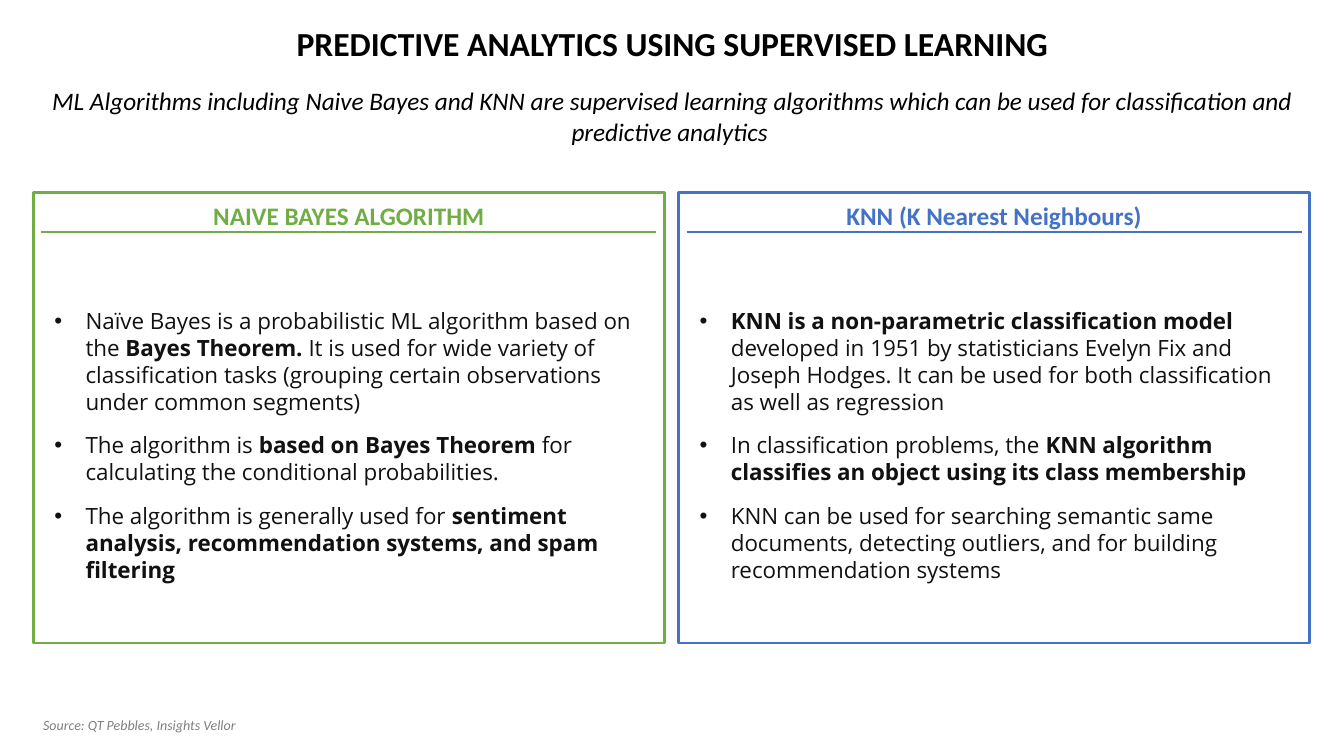
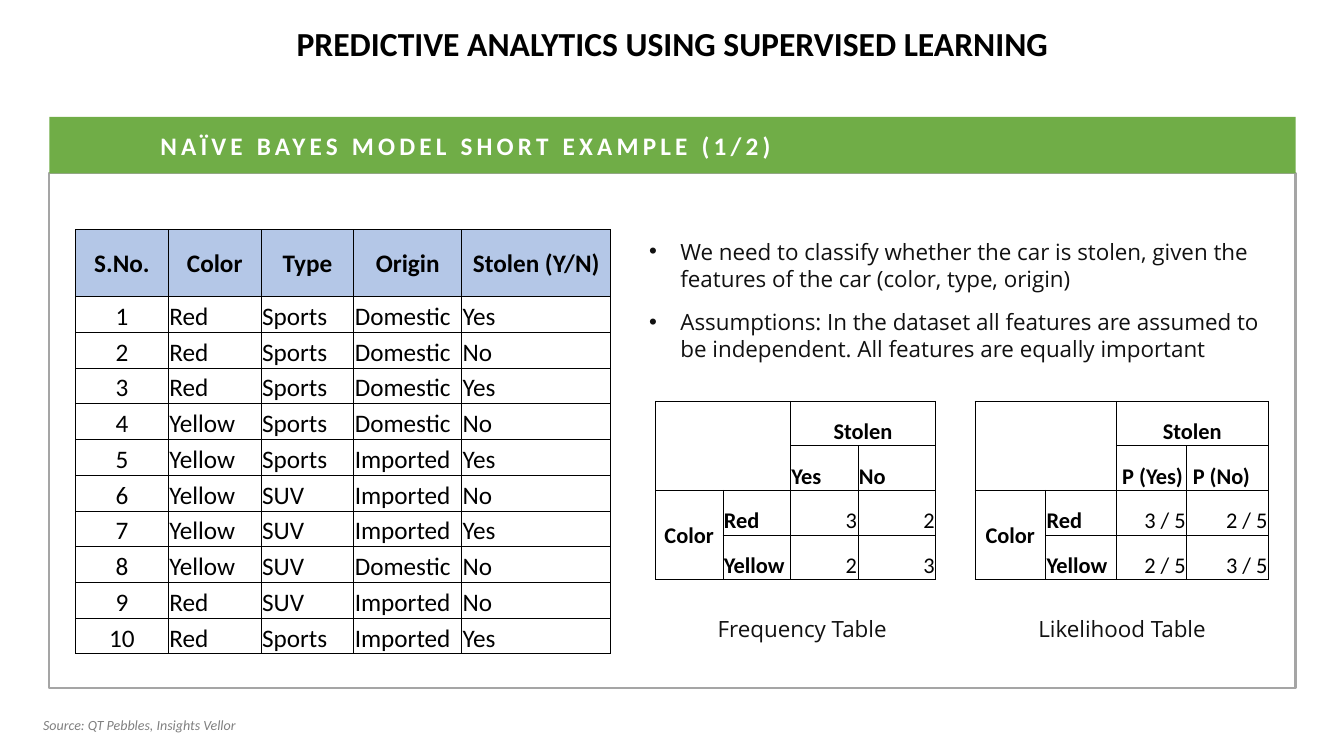
"""Build two slides on predictive analytics with supervised learning."""
from lxml.etree import SubElement
from pptx import Presentation
from pptx.dml.color import RGBColor
from pptx.enum.shapes import MSO_CONNECTOR, MSO_SHAPE
from pptx.enum.text import MSO_ANCHOR as Anchor, MSO_AUTO_SIZE, PP_ALIGN as Align
from pptx.oxml.ns import qn
from pptx.util import Inches, Pt

BLACK = RGBColor(0x00, 0x00, 0x00)
WHITE = RGBColor(0xFF, 0xFF, 0xFF)
INK = RGBColor(0x11, 0x11, 0x11)
GREY = RGBColor(0x80, 0x80, 0x80)
FRAME_GREY = RGBColor(0xA5, 0xA5, 0xA5)
GREEN = RGBColor(0x70, 0xAD, 0x47)
BLUE = RGBColor(0x44, 0x72, 0xC4)
PALE_BLUE = RGBColor(0xB4, 0xC7, 0xE7)
HEAD_FONT = "Calibri"
BODY_FONT = "Open Sans"


def write(frame, paragraphs, size, color, font=HEAD_FONT, align=Align.LEFT,
          italic=False, gap=0, bullet=False, anchor=Anchor.TOP):
    """Fill a text frame; each paragraph is a list of (text, bold) runs."""
    frame.word_wrap = True
    frame.vertical_anchor = anchor
    for index, runs in enumerate(paragraphs):
        para = frame.add_paragraph() if index else frame.paragraphs[0]
        para.alignment = align
        para.space_before = para.space_after = Pt(gap)
        if bullet:
            props = para._p.get_or_add_pPr()
            props.set("marL", str(Inches(0.31)))
            props.set("indent", str(-Inches(0.31)))
            SubElement(props, qn("a:buFont")).set("typeface", "Arial")
            SubElement(props, qn("a:buChar")).set("char", "•")
        for text, bold in runs:
            span = para.add_run()
            span.text = text
            span.font.name = font
            span.font.size = Pt(size)
            span.font.bold = bold
            span.font.italic = italic
            span.font.color.rgb = color


def add_grid(page, box, widths, rows, size, outer):
    """Add a ruled table; each cell is a (text, align, bold) tuple."""
    table = page.shapes.add_table(len(rows), len(widths), *map(Inches, box)).table
    table.first_row = table.horz_banding = False
    for column, width in zip(table.columns, widths):
        column.width = Inches(width)
    last_row, last_column = len(rows) - 1, len(widths) - 1
    for r, row in enumerate(rows):
        for c, (text, align, bold) in enumerate(row):
            cell = table.cell(r, c)
            write(cell.text_frame, [[(text, bold)]] if text else [], size, BLACK, align=align)
            cell.vertical_anchor = Anchor.BOTTOM
            cell.margin_left = cell.margin_right = cell.margin_top = Inches(0.01)
            cell.margin_bottom = 0
            heavy = {"a:lnL": c == 0, "a:lnR": c == last_column,
                     "a:lnT": r in (0, 1), "a:lnB": r in (0, last_row)}
            for tag, on_edge in heavy.items():
                line = SubElement(cell._tc.get_or_add_tcPr(), qn(tag))
                line.set("w", str(Pt(outer if on_edge else 0.5)))
                fill = SubElement(line, qn("a:solidFill"))
                SubElement(fill, qn("a:srgbClr")).set("val", str(BLACK))
            cell.fill.background()
    return table


deck = Presentation()
deck.slide_width, deck.slide_height = Inches(13.33), Inches(7.5)

for _ in range(2):
    page = deck.slides.add_slide(deck.slide_layouts[5])
    title = page.shapes.title
    title.left, title.top, title.width, title.height = map(Inches, (1.32, 0.18, 10.7, 0.5))
    title.text_frame.auto_size = MSO_AUTO_SIZE.NONE
    write(title.text_frame, [[("PREDICTIVE ANALYTICS USING SUPERVISED LEARNING", True)]],
          24, BLACK, align=Align.CENTER)
    source = page.shapes.add_textbox(*map(Inches, (0.33, 7.06, 12.68, 0.27)))
    write(source.text_frame, [[("Source: QT Pebbles, Insights Vellor", False)]],
          10, GREY, italic=True, anchor=Anchor.MIDDLE)

overview, example = deck.slides

subtitle = overview.shapes.add_textbox(*map(Inches, (0.36, 0.8, 12.62, 0.71)))
write(subtitle.text_frame,
      [[("ML Algorithms including Naive Bayes and KNN are supervised learning algorithms "
         "which can be used for classification and predictive analytics ", False)]],
      18, BLACK, align=Align.CENTER, italic=True)

panels = [
    (0.33, GREEN, "NAIVE BAYES ALGORITHM", [
        [("Naïve Bayes is a probabilistic ML algorithm based on the ", False),
         ("Bayes Theorem. ", True),
         ("It is used for wide variety of classification tasks (grouping certain "
          "observations under common segments)", False)],
        [("The algorithm is ", False), ("based on Bayes Theorem ", True),
         ("for calculating the conditional probabilities.", False)],
        [("The algorithm is generally used for ", False),
         ("sentiment analysis, recommendation systems, and spam filtering", True)],
    ]),
    (6.73, BLUE, "KNN (K Nearest Neighbours)", [
        [("KNN is a non-parametric classification model ", True),
         ("developed in 1951 by statisticians Evelyn Fix and Joseph Hodges. It can be "
          "used for both classification as well as regression", False)],
        [("In classification problems, the ", False),
         ("KNN algorithm classifies an object using its class membership", True)],
        [("KNN can be used for searching semantic same documents, detecting outliers, "
          "and for building recommendation systems", False)],
    ]),
]
for left, color, heading, points in panels:
    panel = overview.shapes.add_shape(
        MSO_SHAPE.RECTANGLE, *map(Inches, (left, 1.91, 6.26, 4.47)))
    panel.shadow.inherit = False
    panel.fill.solid()
    panel.fill.fore_color.rgb = WHITE
    panel.line.color.rgb = color
    panel.line.width = Pt(2)
    label = overview.shapes.add_textbox(*map(Inches, (left, 1.94, 6.26, 0.4)))
    write(label.text_frame, [[(heading, True)]], 18, color, align=Align.CENTER)
    rule = overview.shapes.add_connector(
        MSO_CONNECTOR.STRAIGHT, *map(Inches, (left + 0.08, 2.3, left + 6.18, 2.3)))
    rule.line.color.rgb = color
    rule.line.width = Pt(1.5)
    SubElement(rule._element.spPr, qn("a:effectLst"))
    body = overview.shapes.add_textbox(*map(Inches, (left + 0.11, 3, 6.02, 2.86)))
    write(body.text_frame, points, 16, INK, BODY_FONT, gap=6, bullet=True)

frame = example.shapes.add_shape(
    MSO_SHAPE.RECTANGLE, *map(Inches, (0.49, 1.72, 12.36, 5.11)))
frame.shadow.inherit = False
frame.fill.solid()
frame.fill.fore_color.rgb = WHITE
frame.line.color.rgb = FRAME_GREY
frame.line.width = Pt(1.5)

band = example.shapes.add_shape(
    MSO_SHAPE.RECTANGLE, *map(Inches, (0.49, 1.16, 12.36, 0.56)))
band.shadow.inherit = False
band.fill.solid()
band.fill.fore_color.rgb = GREEN
band.line.fill.background()
band.text_frame.margin_left = Inches(1.1)
write(band.text_frame, [[("NAÏVE BAYES MODEL SHORT EXAMPLE (1/2)", True)]],
      18, WHITE, anchor=Anchor.MIDDLE)
band.text_frame.paragraphs[0].runs[0].font._element.set("spc", "300")

cars = [
    ("Red", "Sports", "Domestic", "Yes"),
    ("Red", "Sports", "Domestic", "No"),
    ("Red", "Sports", "Domestic", "Yes"),
    ("Yellow", "Sports", "Domestic", "No"),
    ("Yellow", "Sports", "Imported", "Yes"),
    ("Yellow", "SUV", "Imported", "No"),
    ("Yellow", "SUV", "Imported", "Yes"),
    ("Yellow", "SUV", "Domestic", "No"),
    ("Red", "SUV", "Imported", "No"),
    ("Red", "Sports", "Imported", "Yes"),
]
car_rows = [[(name, Align.CENTER, True)
             for name in ("S.No.", "Color", "Type", "Origin", "Stolen (Y/N)")]]
for number, car in enumerate(cars, 1):
    car_rows.append([(str(number), Align.CENTER, False)]
                    + [(value, Align.LEFT, False) for value in car])
car_table = add_grid(example, (0.75, 2.28, 5.31, 4.21), (0.92, 0.92, 0.92, 1.07, 1.48),
                     car_rows, 18, 1)
for index, row in enumerate(car_table.rows):
    row.height = Inches(3.55) // 10 if index else Inches(0.66)
for cell in car_table.rows[0].cells:
    cell.vertical_anchor = Anchor.MIDDLE
    cell.fill.solid()
    cell.fill.fore_color.rgb = PALE_BLUE

notes = example.shapes.add_textbox(*map(Inches, (6.34, 2.31, 6.51, 1.35)))
write(notes.text_frame, [
    [("We need to classify whether the car is stolen, given the features of the car "
      "(color, type, origin)", False)],
    [("Assumptions: In the dataset all features are assumed to be independent. "
      "All features are equally important", False)],
], 16, INK, BODY_FONT, gap=6, bullet=True)

summaries = [
    (6.5, (0.67, 0.67, 0.67, 0.77), ("Yes", "No"), ("3", "2"), ("2", "3"),
     7.02, "Frequency Table"),
    (9.67, (0.7, 0.7, 0.7, 0.81), (" P (Yes)", " P (No)"), ("3 / 5", "2 / 5"),
     ("2 / 5", "3 / 5"), 10.2, "Likelihood Table"),
]
blank = ("", Align.LEFT, True)
for left, widths, outcomes, red, yellow, caption_left, caption in summaries:
    rows = [
        [blank, blank, ("Stolen", Align.CENTER, True), blank],
        [blank, blank] + [(name, Align.LEFT, True) for name in outcomes],
        [("Color", Align.CENTER, True), ("Red", Align.LEFT, True)]
        + [(value, Align.RIGHT, False) for value in red],
        [blank, ("Yellow", Align.LEFT, True)]
        + [(value, Align.RIGHT, False) for value in yellow],
    ]
    table = add_grid(example, (left, 3.98, sum(widths), 1.77), widths, rows, 16, 0.5)
    table.cell(0, 0).merge(table.cell(1, 1))
    table.cell(0, 2).merge(table.cell(0, 3))
    table.cell(2, 0).merge(table.cell(3, 0))
    table.cell(2, 0).vertical_anchor = Anchor.MIDDLE
    label = example.shapes.add_textbox(*map(Inches, (caption_left, 6.05, 2.78, 0.37)))
    write(label.text_frame, [[(caption, False)]], 16, INK, BODY_FONT, gap=6)

deck.save("out.pptx")
